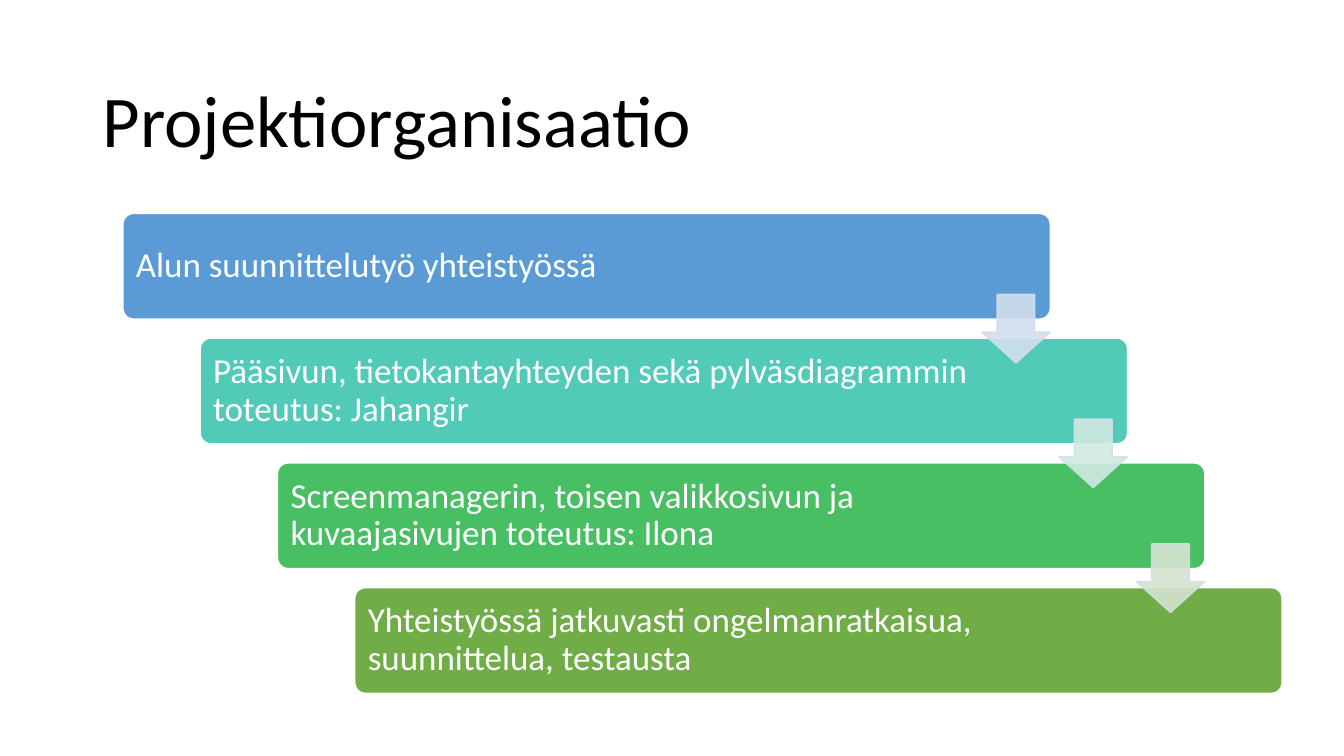
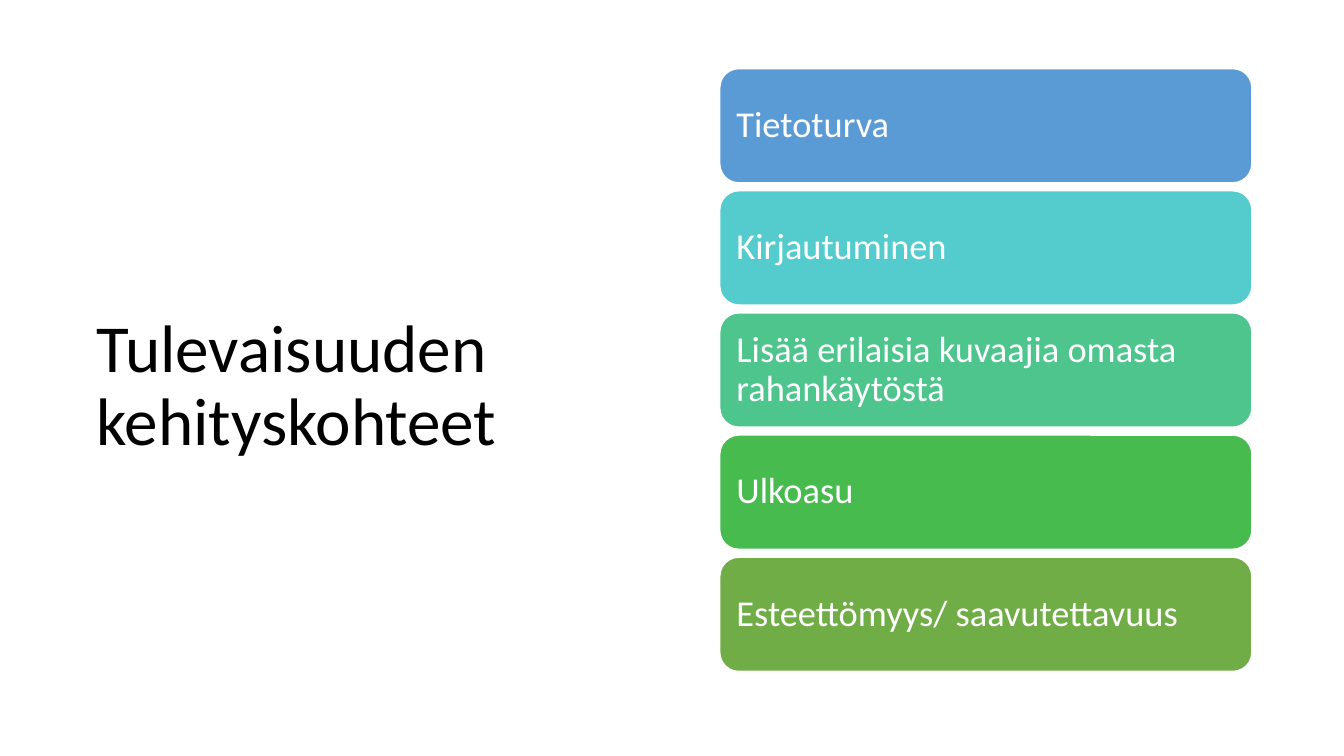
from lxml import etree
from pptx import Presentation
from pptx.dml.color import RGBColor
from pptx.enum.shapes import MSO_SHAPE as Shape
from pptx.enum.text import MSO_ANCHOR as Anchor, MSO_AUTO_SIZE as AutoSize, PP_ALIGN as Align
from pptx.oxml.ns import qn
from pptx.util import Cm, Pt

FONT = "Calibri"
COLORS = {
    "white": "FFFFFF", "black": "000000", "blue": "5B9BD5", "olive": "70AD47",
    "teal": "52CAB8", "green": "49BF64",
    "cyan": "54CCCD", "mint": "4DC58D", "grass": "48BB4F",
    "pale blue": "D2DEEF", "pale teal": "D0EAE1", "pale green": "D5E3CF",
}
FRAME_FORMAT = {"word_wrap": True, "auto_size": AutoSize.NONE, "vertical_anchor": Anchor.MIDDLE}
PARAGRAPH_FORMAT = {"alignment": Align.LEFT, "line_spacing": 0.9}

STEPS = [
    ("Alun suunnittelutyö yhteistyössä", "blue"),
    ("Pääsivun, tietokantayhteyden sekä pylväsdiagrammin toteutus: Jahangir", "teal"),
    ("Screenmanagerin, toisen valikkosivun ja kuvaajasivujen toteutus: Ilona", "green"),
    ("Yhteistyössä jatkuvasti ongelmanratkaisua, suunnittelua, testausta", "olive"),
]
ARROW_COLORS = ["pale blue", "pale teal", "pale green"]
TARGETS = [
    ("Tietoturva", "blue"),
    ("Kirjautuminen", "cyan"),
    ("Lisää erilaisia kuvaajia omasta rahankäytöstä", "mint"),
    ("Ulkoasu", "grass"),
    ("Esteettömyys/ saavutettavuus", "olive"),
]


def rgb(name):
    return RGBColor.from_string(COLORS[name])


def set_attributes(target, values):
    for name, value in values.items():
        setattr(target, name, value)


def write_text(shape, text, size, color, margins=None):
    frame = shape.text_frame
    frame.text = text
    set_attributes(frame, FRAME_FORMAT | (margins or {}))
    paragraph = frame.paragraphs[0]
    set_attributes(paragraph, PARAGRAPH_FORMAT)
    set_attributes(paragraph.runs[0].font, {"name": FONT, "size": Pt(size)})
    paragraph.runs[0].font.color.rgb = rgb(color)


def add_filled_shape(slide, kind, box, fill, line, adjustments=()):
    shape = slide.shapes.add_shape(kind, *map(Cm, box))
    shape.shadow.inherit = False
    shape.fill.solid()
    shape.fill.fore_color.rgb = rgb(fill)
    shape.line.color.rgb = rgb(line)
    shape.line.width = Pt(1)
    for index, value in enumerate(adjustments):
        shape.adjustments[index] = value
    return shape


def add_card(slide, box, text, fill, size, inset, right_inset, rounding):
    card = add_filled_shape(slide, Shape.ROUNDED_RECTANGLE, box, fill, "white", [rounding])
    margins = {f"margin_{side}": Cm(inset) for side in ("left", "top", "bottom")}
    write_text(card, text, size, "white", margins | {"margin_right": Cm(right_inset)})


def add_arrow(slide, box, fill):
    """Add a down arrow whose fill and outline are 90 % opaque."""
    arrow = add_filled_shape(slide, Shape.DOWN_ARROW, box, fill, "pale blue", [0.55, 0.45])
    for color in arrow.element.spPr.iter(qn("a:srgbClr")):
        etree.SubElement(color, qn("a:alpha"), val="90000")


def add_staircase(slide, box):
    """Place the steps diagonally in the box, with an arrow over each gap."""
    left, top, width, height = box
    card_width, card_height = 0.8 * width, 0.22 * height
    step_x = (width - card_width) / (len(STEPS) - 1)
    step_y = (height - card_height) / (len(STEPS) - 1)
    for index, (text, fill) in enumerate(STEPS):
        card = (left + index * step_x, top + index * step_y, card_width, card_height)
        add_card(slide, card, text, fill, size=25, inset=0.25, right_inset=3.93, rounding=0.1)
    arrow_size = 0.143 * height
    for index, fill in enumerate(ARROW_COLORS):
        arrow_left = left + index * step_x + card_width - arrow_size
        gap_middle = top + index * step_y + (card_height + step_y) / 2
        add_arrow(slide, (arrow_left, gap_middle - arrow_size / 2, arrow_size, arrow_size), fill)


def add_stack(slide, box, gap=0.2):
    """Fill the box with equally high cards."""
    left, top, width, height = box
    step = (height + gap) / len(TARGETS)
    for index, (text, fill) in enumerate(TARGETS):
        card = (left, top + index * step, width, step - gap)
        add_card(slide, card, text, fill, size=26, inset=0.28, right_inset=0.28, rounding=0.1667)


def add_titled_slide(presentation, title, box, size):
    slide = presentation.slides.add_slide(presentation.slide_layouts[5])
    placeholder = slide.shapes.title
    set_attributes(placeholder, dict(zip(("left", "top", "width", "height"), map(Cm, box))))
    write_text(placeholder, title, size, "black")
    return slide


def main():
    presentation = Presentation()
    set_attributes(presentation, {"slide_width": Cm(33.87), "slide_height": Cm(19.05)})

    organisation = add_titled_slide(
        presentation, "Projektiorganisaatio", (2.33, 1.55, 29.21, 3.15), 52)
    add_staircase(organisation, (3.1, 5.38, 29.21, 12.09))

    future = add_titled_slide(
        presentation, "Tulevaisuuden kehityskohteet", (2.18, 2.34, 14.25, 14.83), 48)
    add_stack(future, (18.14, 1.73, 13.41, 15.19))

    presentation.save("out.pptx")


if __name__ == "__main__":
    main()
